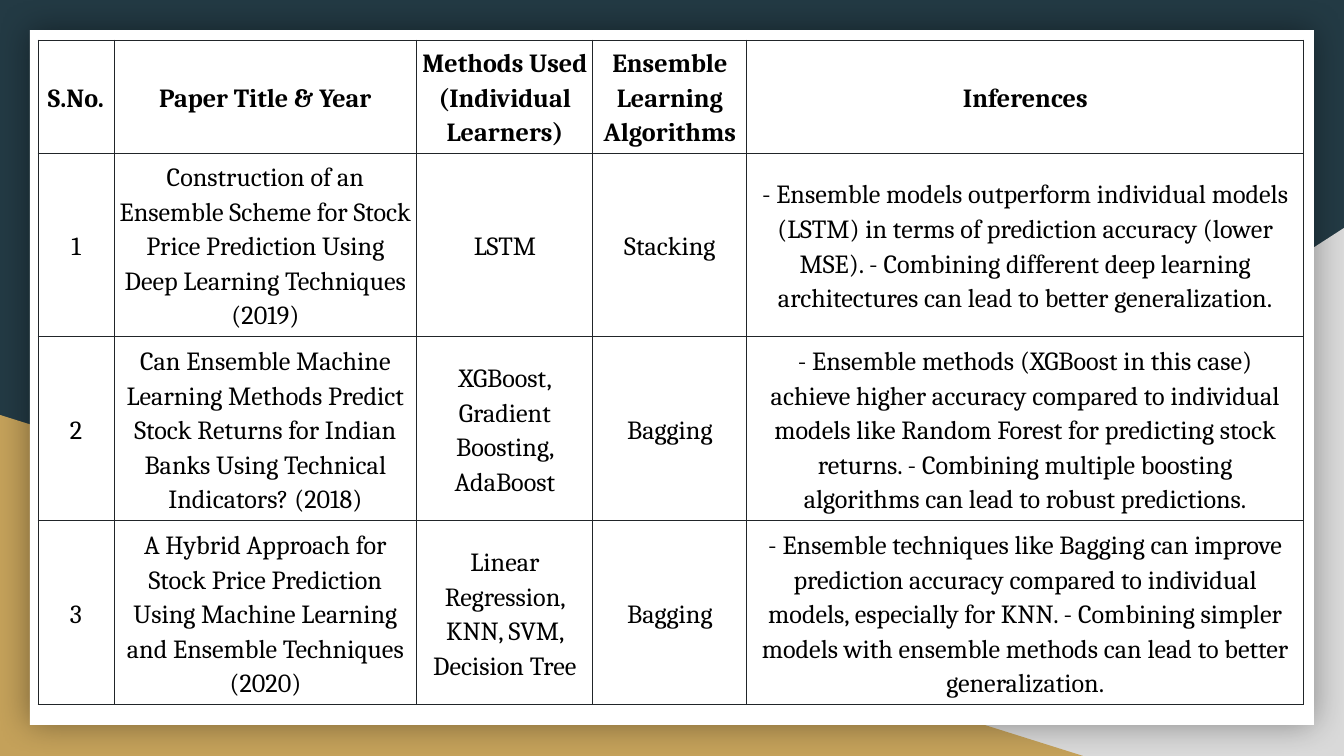
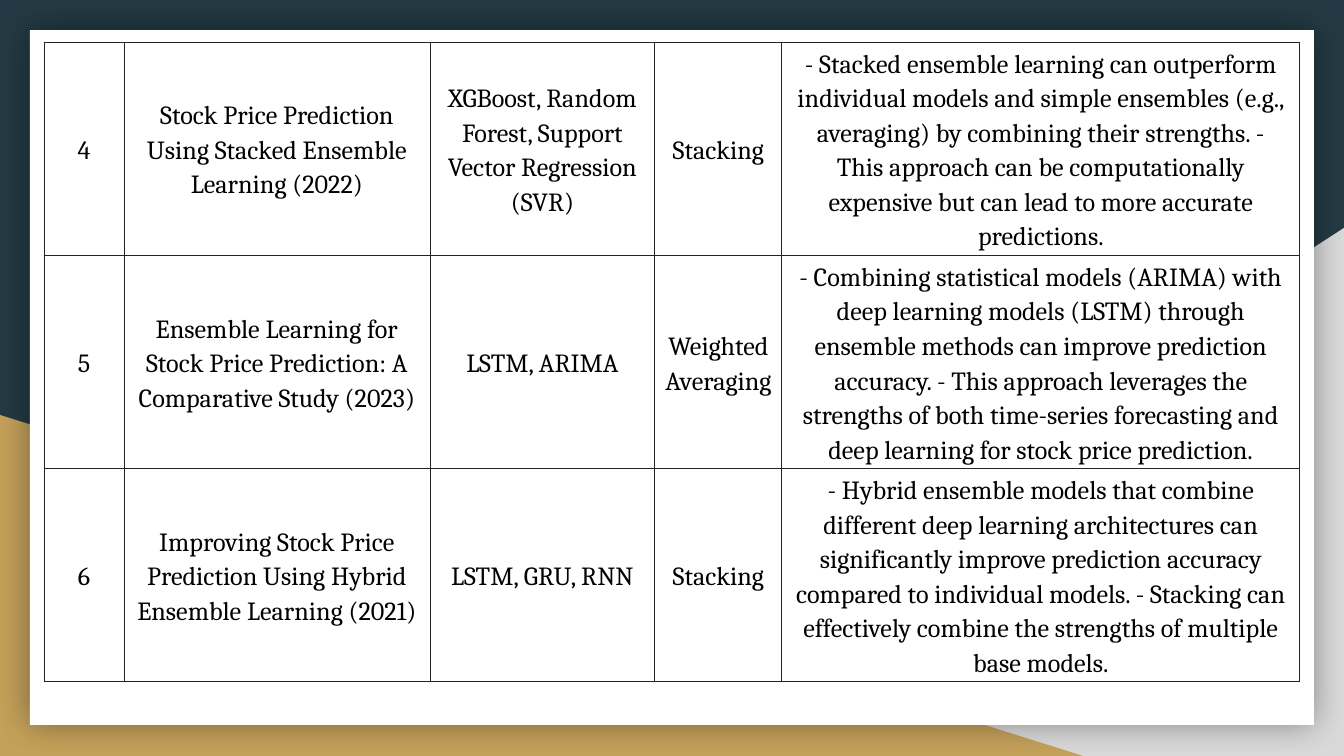
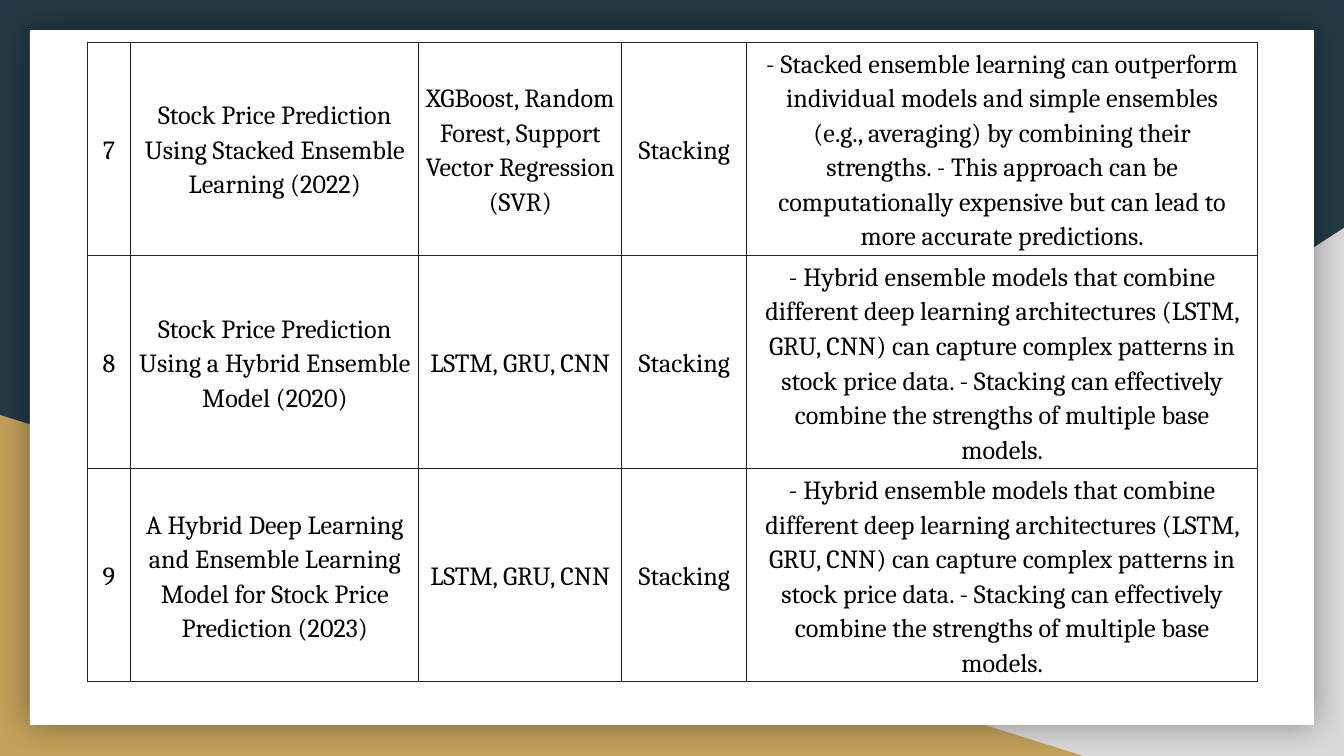
import lxml.etree
import pptx
import pptx.dml.color
import pptx.enum.shapes
import pptx.enum.text
import pptx.oxml.ns
import pptx.util

PX = 914400 / 134.4  # EMU in one px
NAVY = pptx.dml.color.RGBColor(0x23, 0x3A, 0x44)
GREY = pptx.dml.color.RGBColor(0xD9, 0xD9, 0xD9)
GOLD = pptx.dml.color.RGBColor(0xC4, 0xA1, 0x5A)
WHITE = pptx.dml.color.RGBColor(0xFF, 0xFF, 0xFF)
BLACK = pptx.dml.color.RGBColor(0x00, 0x00, 0x00)
BORDER = pptx.dml.color.RGBColor(0x21, 0x25, 0x29)
TRIANGLE = pptx.enum.shapes.MSO_SHAPE.RIGHT_TRIANGLE
RECTANGLE = pptx.enum.shapes.MSO_SHAPE.RECTANGLE

# Backdrop shared by all slides: shape, place, colour
BACKDROP = [
    (TRIANGLE, (527, 228, 817, 528), GREY),
    (TRIANGLE, (0, 415, 1083, 341), GOLD),
    (RECTANGLE, (30, 30, 1284, 695), WHITE),
]

# Papers: title and year, methods, ensemble algorithm, inferences
HEADER = ("S.No.", "Paper Title & Year", "Methods Used (Individual Learners)",
          "Ensemble Learning Algorithms", "Inferences")
STACKED_PAPER = (
    "Stock Price Prediction Using Stacked Ensemble Learning (2022)",
    "XGBoost, Random Forest, Support Vector Regression (SVR)",
    "Stacking",
    "- Stacked ensemble learning can outperform individual models and simple "
    "ensembles (e.g., averaging) by combining their strengths. - This approach can be "
    "computationally expensive but can lead to more accurate predictions.",
)
HYBRID_FINDINGS = (
    "LSTM, GRU, CNN",
    "Stacking",
    "- Hybrid ensemble models that combine different deep learning architectures "
    "(LSTM, GRU, CNN) can capture complex patterns in stock price data. - Stacking can "
    "effectively combine the strengths of multiple base models.",
)
PAPERS = [
    ("Construction of an Ensemble Scheme for Stock Price Prediction Using Deep "
     "Learning Techniques (2019)",
     "LSTM", "Stacking",
     "- Ensemble models outperform individual models (LSTM) in terms of prediction "
     "accuracy (lower MSE). - Combining different deep learning architectures can lead "
     "to better generalization."),
    ("Can Ensemble Machine Learning Methods Predict Stock Returns for Indian Banks "
     "Using Technical Indicators? (2018)",
     "XGBoost, Gradient Boosting, AdaBoost", "Bagging",
     "- Ensemble methods (XGBoost in this case) achieve higher accuracy compared to "
     "individual models like Random Forest for predicting stock returns. - Combining "
     "multiple boosting algorithms can lead to robust predictions."),
    ("A Hybrid Approach for Stock Price Prediction Using Machine Learning and "
     "Ensemble Techniques (2020)",
     "Linear Regression, KNN, SVM, Decision Tree", "Bagging",
     "- Ensemble techniques like Bagging can improve prediction accuracy compared to "
     "individual models, especially for KNN. - Combining simpler models with ensemble "
     "methods can lead to better generalization."),
    STACKED_PAPER,
    ("Ensemble Learning for Stock Price Prediction: A Comparative Study (2023)",
     "LSTM, ARIMA", "Weighted Averaging",
     "- Combining statistical models (ARIMA) with deep learning models (LSTM) through "
     "ensemble methods can improve prediction accuracy. - This approach leverages the "
     "strengths of both time-series forecasting and deep learning for stock price "
     "prediction."),
    ("Improving Stock Price Prediction Using Hybrid Ensemble Learning (2021)",
     "LSTM, GRU, RNN", "Stacking",
     "- Hybrid ensemble models that combine different deep learning architectures can "
     "significantly improve prediction accuracy compared to individual models. - "
     "Stacking can effectively combine the strengths of multiple base models."),
    STACKED_PAPER,
    ("Stock Price Prediction Using a Hybrid Ensemble Model (2020)", *HYBRID_FINDINGS),
    ("A Hybrid Deep Learning and Ensemble Learning Model for Stock Price Prediction "
     "(2023)", *HYBRID_FINDINGS),
]
NUMBERED = [(str(number), *paper) for number, paper in enumerate(PAPERS, 1)]

# One table per slide: left, top, column widths, least row heights, rows
TABLES = [
    (38, 40, (76, 303, 176, 154, 557), (113, 184, 184, 184), [HEADER] + NUMBERED[:3]),
    (44, 42, (80, 306, 225, 127, 518), (212, 212, 183), NUMBERED[3:6]),
    (87, 42, (44, 288, 203, 125, 511), (67, 36, 36), NUMBERED[6:]),
]


def px(length):
    return pptx.util.Emu(round(length * PX))


def add_part(parent, tag, **attributes):
    return lxml.etree.SubElement(parent, pptx.oxml.ns.qn(tag), attributes)


deck = pptx.Presentation()
deck.slide_width, deck.slide_height = px(1344), px(756)

for left, top, widths, heights, rows in TABLES:
    page = deck.slides.add_slide(deck.slide_layouts[6])
    page.background.fill.solid()
    page.background.fill.fore_color.rgb = NAVY

    # Two triangles and the white panel
    for kind, place, colour in BACKDROP:
        box = page.shapes.add_shape(kind, *map(px, place))
        box.shadow.inherit = False
        box.fill.solid()
        box.fill.fore_color.rgb = colour
        box.line.fill.background()
        if colour == GREY:
            box._element.spPr.xfrm.set("flipH", "1")

    # Soft shadow around the panel, the last shape drawn
    effects = box._element.spPr.find(pptx.oxml.ns.qn("a:effectLst"))
    shadow = add_part(effects, "a:outerShdw", blurRad=str(pptx.util.Pt(18)), dist="0",
                      dir="0", algn="ctr", rotWithShape="0")
    shade = add_part(shadow, "a:srgbClr", val=str(BLACK))
    add_part(shade, "a:alpha", val="40000")

    # Table of papers
    table = page.shapes.add_table(len(rows), len(widths), px(left), px(top),
                                  px(sum(widths)), px(sum(heights))).table
    table.first_row = table.horz_banding = False
    for column, width in zip(table.columns, widths):
        column.width = px(width)
    for table_row, height, row in zip(table.rows, heights, rows):
        table_row.height = px(height)
        for cell, text in zip(table_row.cells, row):
            is_inference = text is row[-1] and row is not HEADER
            cell.margin_left = cell.margin_right = px(13 if is_inference else 4)
            cell.margin_top = cell.margin_bottom = px(3)
            cell.vertical_anchor = pptx.enum.text.MSO_ANCHOR.MIDDLE
            for side in ("a:lnL", "a:lnR", "a:lnT", "a:lnB"):
                edge = add_part(cell._tc.get_or_add_tcPr(), side,
                                w=str(pptx.util.Pt(0.6)))
                add_part(add_part(edge, "a:solidFill"), "a:srgbClr", val=str(BORDER))
            cell.fill.background()

            cell.text_frame.text = text
            para = cell.text_frame.paragraphs[0]
            para.alignment = pptx.enum.text.PP_ALIGN.CENTER
            para.line_spacing = 1.15
            span = para.runs[0]
            span.font.name = "Cambria"
            span.font.size = pptx.util.Pt(14)
            span.font.bold = row is HEADER
            span.font.color.rgb = BLACK

deck.save("out.pptx")
